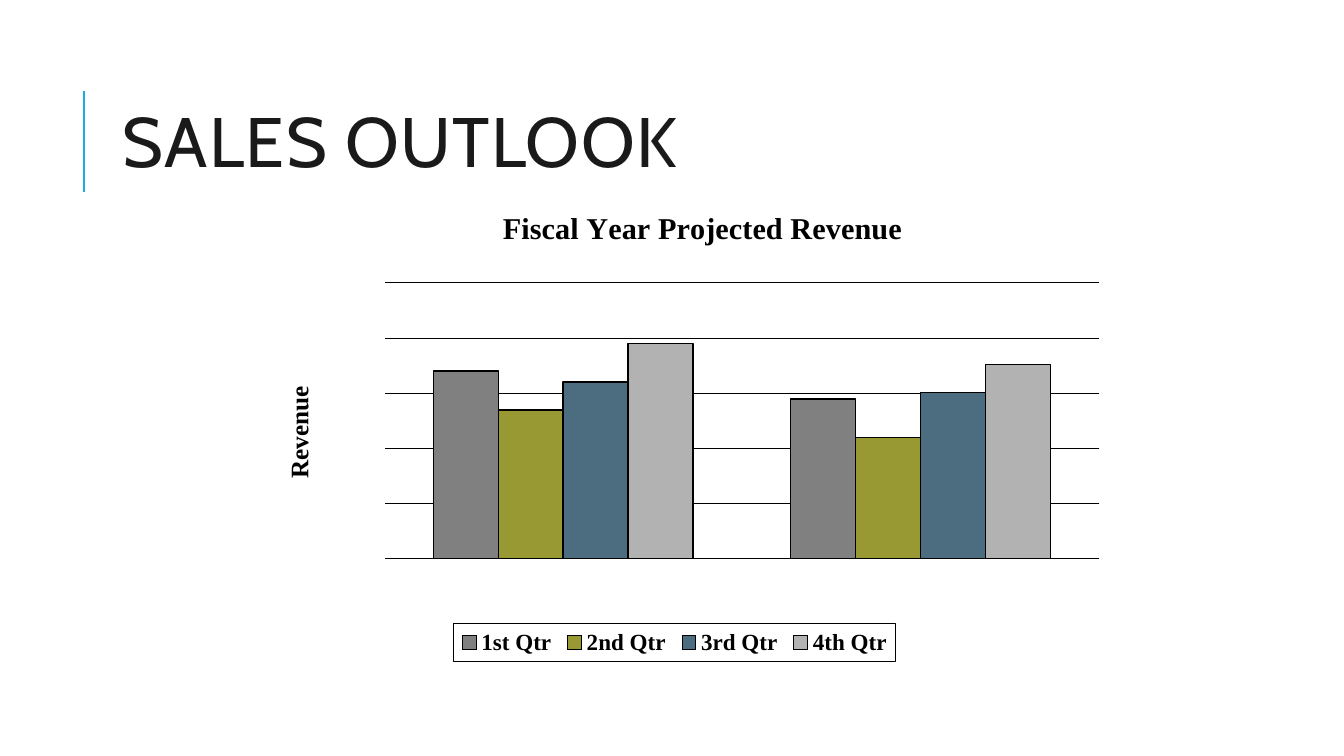
from lxml.etree import SubElement
from pptx import Presentation
from pptx.chart.data import CategoryChartData
from pptx.dml.color import RGBColor
from pptx.enum.chart import XL_CHART_TYPE, XL_LEGEND_POSITION, XL_TICK_MARK
from pptx.enum.shapes import MSO_CONNECTOR
from pptx.enum.text import MSO_ANCHOR, MSO_AUTO_SIZE, PP_ALIGN
from pptx.oxml import parse_xml
from pptx.oxml.ns import nsdecls, qn
from pptx.util import Cm, Pt

COLORS = {"accent": "1CADE4", "heading": "1A1A1A", "ink": "000000"}
QUARTERS = {
    "1st Qtr": ((87, 74), "808080"),
    "2nd Qtr": ((69, 56), "999933"),
    "3rd Qtr": ((82, 77), "4C6D80"),
    "4th Qtr": ((100, 90), "B2B2B2"),
}
GRID_STEP = 25.64


def rgb(name):
    return RGBColor.from_string(COLORS.get(name, name))


def chart_layout(x, y, w=None, h=None, inner=False):
    """Return a c:layout element placed by fractions of the chart area."""
    values = [("layoutTarget", "inner")] if inner else []
    values += [("xMode", "edge"), ("yMode", "edge"), ("x", x), ("y", y)]
    if w is not None:
        values += [("w", w), ("h", h)]
    parts = "".join(f'<c:{tag} val="{value}"/>' for tag, value in values)
    return parse_xml(f'<c:layout {nsdecls("c")}><c:manualLayout>{parts}</c:manualLayout></c:layout>')


def place(element, layout, after):
    """Replace the layout of a chart part, putting it behind the child named after."""
    for old in element.findall(qn("c:layout")):
        element.remove(old)
    if after:
        element.find(qn(after)).addnext(layout)
    else:
        element.insert(0, layout)


class SlideBuilder:
    def __init__(self, slide, heading_font="Cabin", chart_font="Times New Roman"):
        self.slide = slide
        self.heading_font = heading_font
        self.chart_font = chart_font

    def title(self, wording, left, top, width, height):
        heading = self.slide.shapes.title
        heading.left, heading.top = Cm(left), Cm(top)
        heading.width, heading.height = Cm(width), Cm(height)
        frame = heading.text_frame
        frame.text = wording
        frame.word_wrap = True
        frame.auto_size = MSO_AUTO_SIZE.NONE
        frame.vertical_anchor = MSO_ANCHOR.MIDDLE
        paragraph = frame.paragraphs[0]
        paragraph.alignment = PP_ALIGN.LEFT
        paragraph.line_spacing = 0.8
        font = paragraph.runs[0].font
        font.name, font.size = self.heading_font, Pt(50)
        font.color.rgb = rgb("heading")
        paragraph.runs[0].font._element.set("spc", "100")

    def rule(self, x, top, bottom):
        line = self.slide.shapes.add_connector(
            MSO_CONNECTOR.STRAIGHT, Cm(x), Cm(bottom), Cm(x), Cm(top))
        line.line.color.rgb = rgb("accent")
        line.line.width = Pt(1.5)
        SubElement(line._element.spPr, qn("a:effectLst"))

    def chart_text(self, font, size):
        font.name, font.size, font.bold = self.chart_font, Pt(size), True
        font.color.rgb = rgb("ink")

    def chart_title(self, owner, wording, size, x, y):
        """Title a chart or an axis at a fixed place."""
        frame = owner.text_frame
        frame.text = wording
        self.chart_text(frame.paragraphs[0].runs[0].font, size)
        place(owner._element, chart_layout(x, y), "c:tx")

    def column_chart(self, quarters, left, top, width, height):
        revenue = CategoryChartData(number_format="#,##0")
        revenue.categories = ["1", "2"]
        for quarter, (values, _) in quarters.items():
            revenue.add_series(quarter, values)
        chart = self.slide.shapes.add_chart(
            XL_CHART_TYPE.COLUMN_CLUSTERED,
            Cm(left), Cm(top), Cm(width), Cm(height), revenue).chart
        self.chart_text(chart.font, 18)

        plot = chart.plots[0]
        plot.gap_width, plot.overlap, plot.vary_by_categories = 150, 0, False
        for series, (_, color) in zip(plot.series, quarters.values()):
            series.format.fill.solid()
            series.format.fill.fore_color.rgb = rgb(color)
            series.format.line.color.rgb = rgb("ink")
            series.format.line.width = Pt(1)

        for axis in (chart.category_axis, chart.value_axis):
            axis.visible = False
            axis.major_tick_mark = XL_TICK_MARK.NONE
        scale = chart.value_axis
        scale.minimum_scale, scale.maximum_scale = 0, 5 * GRID_STEP
        scale.major_unit = GRID_STEP
        scale.major_gridlines.format.line.color.rgb = rgb("ink")
        scale.major_gridlines.format.line.width = Pt(0.25)
        self.chart_title(scale.axis_title, "Revenue", 18, 0.05, 0.4)
        turned = scale.axis_title.text_frame._txBody.bodyPr
        turned.set("rot", "-5400000")
        turned.set("vert", "horz")

        self.chart_title(chart.chart_title, "Fiscal Year Projected Revenue", 21.6, 0.3, 0.02)
        chart.chart_title._element.get_or_add_overlay().set("val", "1") if hasattr(
            chart.chart_title._element, "get_or_add_overlay") else None
        place(chart._chartSpace.chart.plotArea,
              chart_layout(0.171, 0.189, 0.817, 0.586, inner=True), None)

        chart.has_legend = True
        legend = chart.legend
        legend.position = XL_LEGEND_POSITION.BOTTOM
        legend.include_in_layout = True
        self.chart_text(legend.font, 16.5)
        place(legend._element, chart_layout(0.25, 0.913, 0.505, 0.081), "c:legendPos")
        border = parse_xml(
            f'<c:spPr {nsdecls("c", "a")}><a:noFill/><a:ln w="3175"><a:solidFill>'
            f'<a:srgbClr val="{COLORS["ink"]}"/></a:solidFill></a:ln></c:spPr>')
        legend._element.find(qn("c:txPr")).addprevious(border)


def main():
    deck = Presentation()
    deck.slide_width, deck.slide_height = Cm(33.87), Cm(19.05)
    builder = SlideBuilder(deck.slides.add_slide(deck.slide_layouts[5]))
    builder.rule(2.11, 2.29, 4.83)
    builder.title("SALES OUTLOOK", 2.84, 1.63, 27, 4.17)
    builder.column_chart(QUARTERS, 5.92, 4.88, 22.05, 11.86)
    deck.save("out.pptx")


if __name__ == "__main__":
    main()
